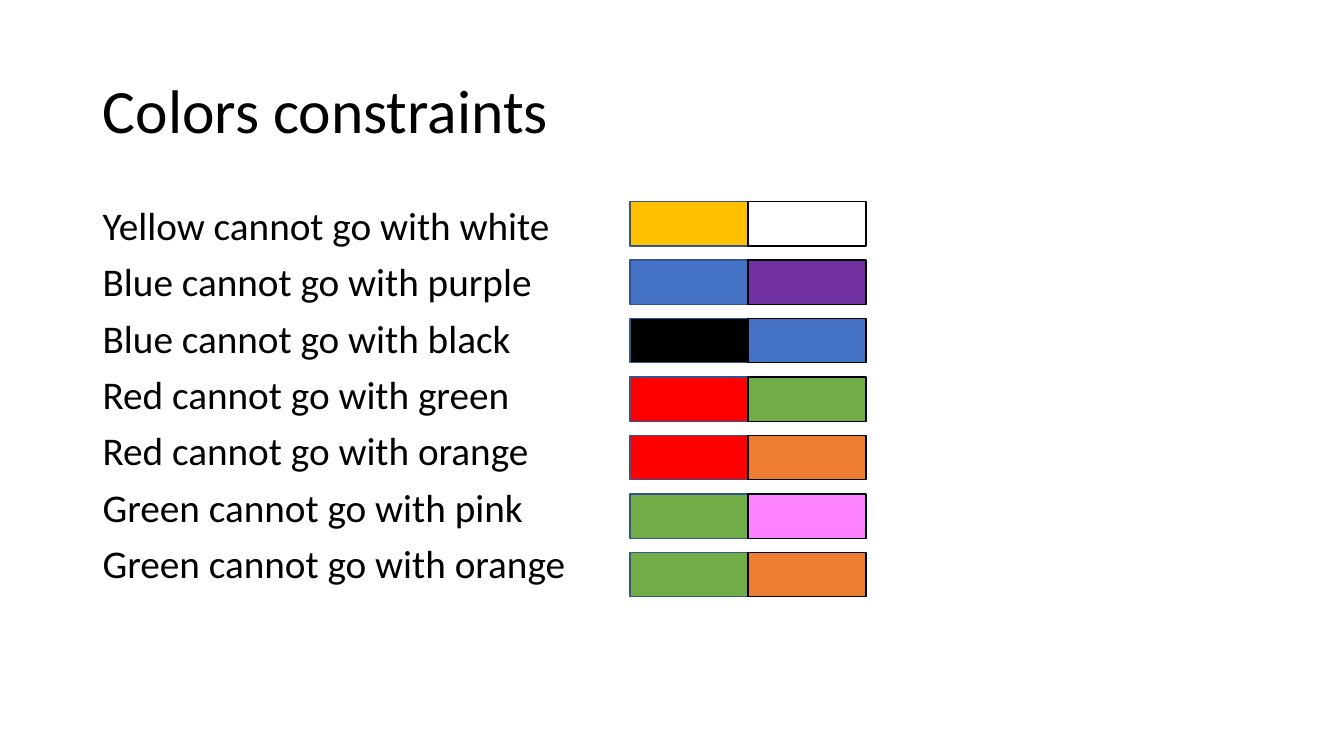
import pptx
import pptx.dml.color
import pptx.enum.shapes
import pptx.enum.text
import pptx.util

PX = 9144  # EMU per px, 100 px to the inch

THEME = {
    "font": "Calibri",
    "title_size": 44,
    "body_size": 28,
    "text": "000000",
    "left_line": "325491",
    "right_line": "000000",
    "yellow": "FFC000",
    "white": "FFFFFF",
    "blue": "4472C4",
    "purple": "7030A0",
    "black": "000000",
    "red": "FF0000",
    "green": "70AD47",
    "orange": "ED7D31",
    "pink": "FD82FF",
}

# Each constraint with its left and right swatch
CONSTRAINTS = [
    ("Yellow cannot go with white", "yellow", "white"),
    ("Blue cannot go with purple", "blue", "purple"),
    ("Blue cannot go with black", "black", "blue"),
    ("Red cannot go with green", "red", "green"),
    ("Red cannot go with orange", "red", "orange"),
    ("Green cannot go with pink", "green", "pink"),
    ("Green cannot go with orange", "green", "orange"),
]

SWATCH_LEFT, SWATCH_TOP = 625, 200
SWATCH_WIDTH, SWATCH_HEIGHT = 117, 44
ROW_PITCH = 58


def color(name):
    return pptx.dml.color.RGBColor.from_string(THEME[name])


def format_paragraph(paragraph, size):
    paragraph.alignment = pptx.enum.text.PP_ALIGN.LEFT
    paragraph.line_spacing = 0.9
    paragraph.font.name = THEME["font"]
    paragraph.font.size = pptx.util.Pt(THEME[size])
    paragraph.font.color.rgb = color("text")


presentation = pptx.Presentation()
presentation.slide_width = 1333 * PX
presentation.slide_height = 750 * PX
slide = presentation.slides.add_slide(presentation.slide_layouts.get_by_name("Title Only"))

# Title
title = slide.shapes.title
title.left, title.top, title.width, title.height = (n * PX for n in (92, 40, 1150, 145))
title.text_frame.text = "Colors constraints"
title.text_frame.auto_size = pptx.enum.text.MSO_AUTO_SIZE.NONE
title.text_frame.vertical_anchor = pptx.enum.text.MSO_ANCHOR.MIDDLE
format_paragraph(title.text_frame.paragraphs[0], "title_size")

# Colour pairs
for row, (sentence, *pair) in enumerate(CONSTRAINTS):
    for column, (fill, line) in enumerate(zip(pair, ("left_line", "right_line"))):
        swatch = slide.shapes.add_shape(
            pptx.enum.shapes.MSO_SHAPE.RECTANGLE,
            (SWATCH_LEFT + column * SWATCH_WIDTH) * PX,
            (SWATCH_TOP + row * ROW_PITCH) * PX,
            SWATCH_WIDTH * PX,
            SWATCH_HEIGHT * PX,
        )
        swatch.shadow.inherit = False
        swatch.fill.solid()
        swatch.fill.fore_color.rgb = color(fill)
        swatch.line.color.rgb = color(line)
        swatch.line.width = pptx.util.Pt(1)

# List of constraints
body = slide.shapes.add_textbox(92 * PX, 200 * PX, 1150 * PX, 476 * PX)
body.text_frame.word_wrap = True
body.text_frame.text = "\n".join(sentence for sentence, *pair in CONSTRAINTS)
for paragraph in body.text_frame.paragraphs:
    format_paragraph(paragraph, "body_size")
    paragraph.space_before = pptx.util.Pt(10)

presentation.save("out.pptx")
